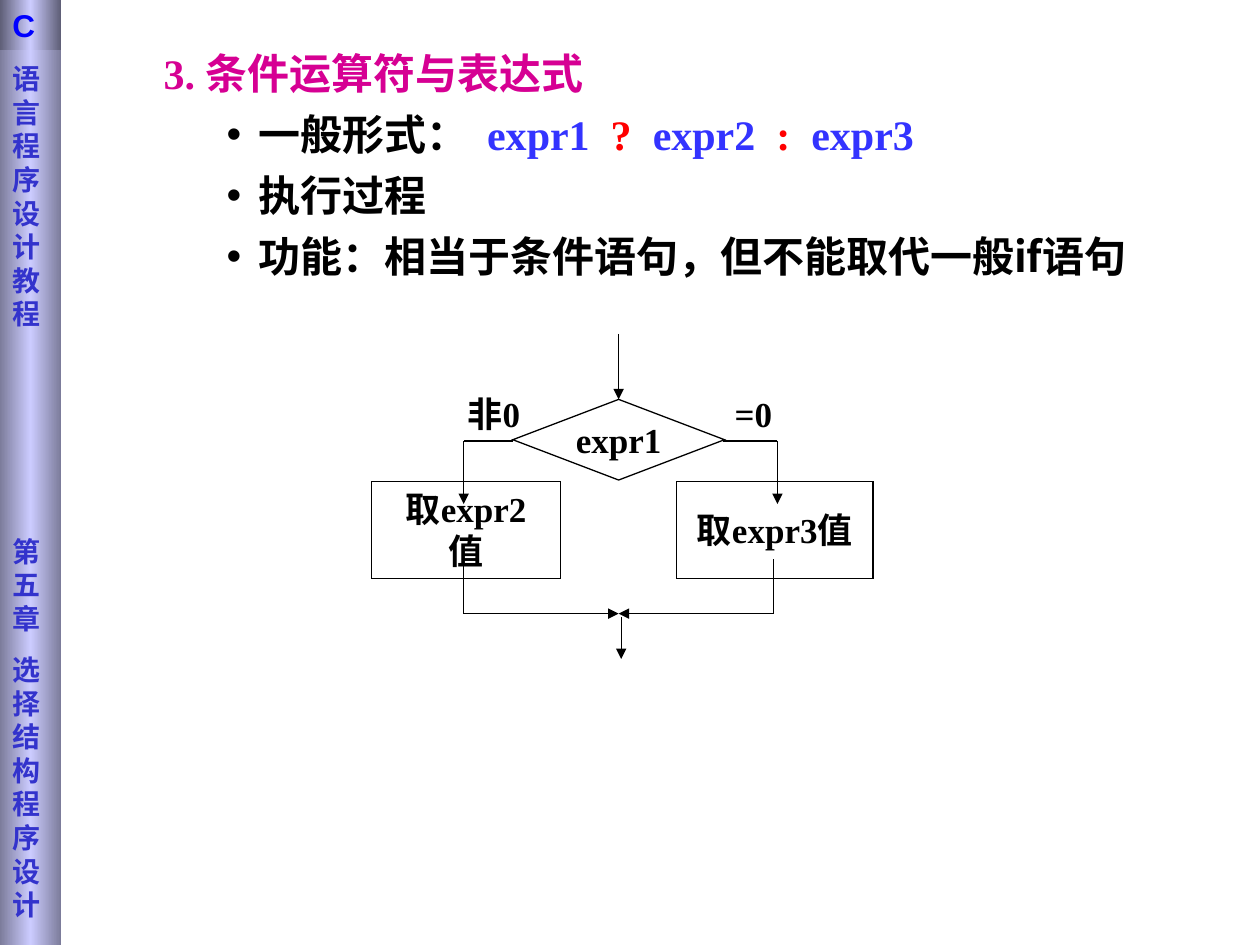
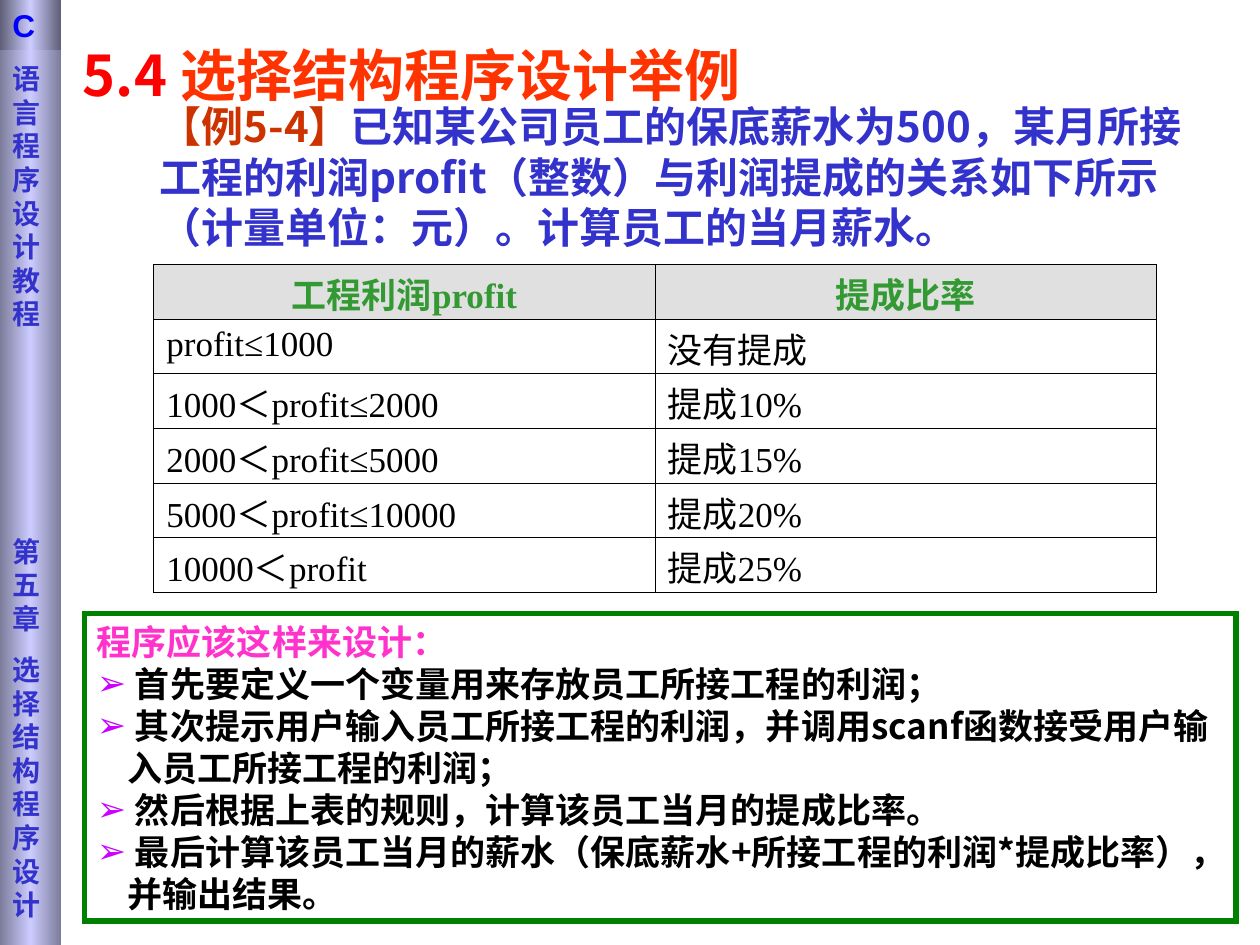
"""Build two course slides on the conditional operator and a selection example."""
from copy import deepcopy

from lxml.etree import SubElement
from pptx import Presentation
from pptx.dml.color import RGBColor
from pptx.enum.shapes import MSO_CONNECTOR, MSO_SHAPE
from pptx.enum.text import MSO_ANCHOR, PP_ALIGN
from pptx.oxml.ns import qn
from pptx.util import Inches, Pt

COLS, ROWS = 100, 75
CJK, SERIF = "Noto Sans CJK SC", "Times New Roman"
COLORS = {
    "black": "000000", "magenta": "D60093", "blue": "3333FF", "red": "FF0000",
    "navy": "3333CC", "letter": "0000FF", "orange": "FF3300", "rust": "CC3300",
    "head": "339933", "head_fill": "E0E0E0", "frame": "008000", "pink": "FF33CC",
    "arrow_bullet": "CC00FF", "edge": "7C7C9B", "cap_edge": "5E5E76", "mid": "CCCCFF",
}
FORMATS = {
    "side": {"size": 16, "name": "DejaVu Sans", "bold": True, "color": "navy"},
    "letter": {"size": 18, "name": "Arial", "bold": True, "color": "letter"},
    "serif": {"size": 24, "name": SERIF, "bold": True, "color": "blue"},
    "body": {"size": 24, "name": CJK, "bold": True, "color": "black"},
    "flow": {"size": 20, "name": SERIF, "bold": True, "color": "black"},
    "title": {"size": 32, "name": CJK, "bold": True, "color": "red"},
    "plan": {"size": 20, "name": CJK, "bold": True, "color": "black"},
    "cell": {"size": 20, "name": SERIF, "bold": False, "color": "black"},
    "header": {"size": 20, "name": SERIF, "bold": True, "color": "head"},
}
BODY_BULLET = {"level": 1, "before": 6, "indent": (12.5, -2.5), "bullet": ("•", "black")}
PLAN_BULLET = {"indent": (2.4, -2.4), "bullet": ("➢", "arrow_bullet")}


def grid(n):
    """Turn grid columns or rows into a length."""
    return Inches(n / 10)


def rgb(name):
    """Look up a named colour."""
    return RGBColor.from_string(COLORS[name])


def add_run(p, text, style, color=None):
    """Add one formatted run."""
    r = p.add_run()
    r.text = text
    values = dict(FORMATS[style])
    r.font.color.rgb = rgb(color or values["color"])
    del values["color"]
    values["size"] = Pt(values["size"])
    for key, value in values.items():
        setattr(r.font, key, value)
    ea = SubElement(r._r.get_or_add_rPr(), qn("a:ea"))
    ea.set("typeface", CJK)
    r._r.rPr.find(qn("a:latin")).addnext(ea)


def add_bullet(p, char, color):
    """Give a paragraph a coloured bullet."""
    pPr = p._p.get_or_add_pPr()
    clr = SubElement(SubElement(pPr, qn("a:buClr")), qn("a:srgbClr"))
    clr.set("val", COLORS[color])
    SubElement(pPr, qn("a:buFont")).set("typeface", "Arial")
    SubElement(pPr, qn("a:buChar")).set("char", char)


def fill_paragraph(p, runs, align=PP_ALIGN.LEFT, level=0, before=0, indent=(0, 0), bullet=None):
    """Write runs and paragraph layout."""
    if bullet:
        add_bullet(p, *bullet)
    size = FORMATS[runs[0][1]]["size"]
    layout = {"alignment": align, "level": level, "space_before": Pt(before),
              "line_spacing": Pt(size * 1.2)}
    for key, value in layout.items():
        setattr(p, key, value)
    for key, value in zip(("marL", "indent"), indent):
        p._p.pPr.set(key, str(grid(value)))
    for run in runs:
        add_run(p, *run)


def fill_frame(sp, paragraphs, anchor=MSO_ANCHOR.TOP, wrap=True, top=0.5, side=1):
    """Write (runs, layout) paragraphs into a shape."""
    tf = sp.text_frame
    values = {"word_wrap": wrap, "vertical_anchor": anchor, "margin_top": grid(top),
              "margin_bottom": grid(0.5), "margin_left": grid(side), "margin_right": grid(side)}
    for key, value in values.items():
        setattr(tf, key, value)
    for i, (runs, layout) in enumerate(paragraphs):
        fill_paragraph(tf.paragraphs[0] if i == 0 else tf.add_paragraph(), runs, **layout)


def add_text(s, box, paragraphs, **frame):
    """Add a text box."""
    sp = s.shapes.add_textbox(*map(grid, box))
    fill_frame(sp, paragraphs, **frame)


def add_box(s, kind, box, paragraphs, line="black", width=0.75, **frame):
    """Add a sharp-cornered outlined shape with text."""
    sp = s.shapes.add_shape(kind, *map(grid, box))
    sp.shadow.inherit = False
    sp.fill.background()
    sp.line.color.rgb = rgb(line)
    sp.line.width = Pt(width)
    SubElement(sp.line._get_or_add_ln(), qn("a:miter")).set("lim", "800000")
    fill_frame(sp, paragraphs, anchor=MSO_ANCHOR.MIDDLE, **frame)


def add_line(s, start, end, arrow):
    """Add a straight flow line, optionally with an arrowhead."""
    c = s.shapes.add_connector(MSO_CONNECTOR.STRAIGHT, *map(grid, start + end))
    c.line.color.rgb = rgb("black")
    c.line.width = Pt(0.75)
    if arrow:
        SubElement(c.line._get_or_add_ln(), qn("a:tailEnd")).set("type", "triangle")
    SubElement(c._element.spPr, qn("a:effectLst"))


def add_band(s, height, edge, paragraphs, top):
    """Add a gradient band at the left edge."""
    sp = s.shapes.add_shape(MSO_SHAPE.RECTANGLE, 0, 0, grid(4.85), grid(height))
    sp.shadow.inherit = False
    sp.line.fill.background()
    sp.fill.gradient()
    sp.fill.gradient_angle = 0
    stops = sp._element.spPr.find(".//" + qn("a:gsLst"))
    stops.append(deepcopy(stops[-1]))
    for i, (stop, color) in enumerate(zip(sp.fill.gradient_stops, (edge, "mid", edge))):
        stop.position = i / 2
        stop.color.rgb = rgb(color)
    fill_frame(sp, paragraphs, top=top)


def add_sidebar(s):
    """Add the course and chapter bands shared by the slides."""
    labels = (("语言程序设计教程", 0), ("第五章", 116.5), ("选择结构程序设计", 10))
    add_band(s, ROWS, "edge", [([(text, "side")], {"before": gap}) for text, gap in labels], 4.9)
    add_band(s, 4, "cap_edge", [([("C", "letter")], {})], 0.5)


def add_flowchart(s):
    """Draw the evaluation of the conditional expression."""
    center = {"align": PP_ALIGN.CENTER}
    left, mid, right = 36.8, 49.1, 61.7
    add_box(s, MSO_SHAPE.FLOWCHART_DECISION, (40.7, 31.7, 16.8, 6.4),
            [([("expr1", "flow")], center)], wrap=False)
    for x, width, name in ((29.5, 15, "expr2"), (53.7, 15.6, "expr3")):
        add_box(s, MSO_SHAPE.RECTANGLE, (x, 38.2, width, 7.7),
                [([(f"取{name}值", "flow")], center)], side=1.5)
    for middle, text in ((39.2, "非0"), (59.8, "=0")):
        add_text(s, (middle - 5, 30.6, 10, 4.4), [([(text, "flow")], center)],
                 anchor=MSO_ANCHOR.MIDDLE, wrap=False)
    add_line(s, (mid, 26.5), (mid, 31.7), True)
    for corner, x, out in ((40.7, left, left), (57.4, right, 61.4)):
        add_line(s, (corner, 35), (x, 35), False)
        add_line(s, (x, 35), (x, 40), True)
        add_line(s, (out, 44.4), (out, 48.7), False)
        add_line(s, (out, 48.7), (mid, 48.7), True)
    add_line(s, (49.3, 49), (49.3, 52.3), True)


def add_border(cell):
    """Draw thin lines round a table cell."""
    tcPr = cell._tc.get_or_add_tcPr()
    for side in "LRTB":
        ln = SubElement(tcPr, qn(f"a:ln{side}"))
        ln.set("w", str(Pt(0.45)))
        SubElement(SubElement(ln, qn("a:solidFill")), qn("a:srgbClr")).set("val", COLORS["black"])


def add_rate_table(s, rows):
    """Add the commission table with a shaded header."""
    shape = s.shapes.add_table(len(rows), 2, *map(grid, (12.2, 21, 79.6, 26)))
    table = shape.table
    table.first_row = table.horz_banding = False
    for i, row in enumerate(rows):
        table.rows[i].height = grid(26 / len(rows))
        for cell, text in zip(table.rows[i].cells, row):
            add_border(cell)
            has_cjk = max(text) > "⿿"
            cell.margin_top, cell.margin_bottom = grid(0.98 if has_cjk else 0.2), 0
            if i == 0:
                cell.fill.solid()
                cell.fill.fore_color.rgb = rgb("head_fill")
            else:
                cell.fill.background()
            fill_paragraph(cell.text_frame.paragraphs[0],
                           [(text, "cell" if i else "header")],
                           align=PP_ALIGN.LEFT if i else PP_ALIGN.CENTER)


def build_operator_slide(s):
    """Fill the slide on the conditional operator."""
    form = [("一般形式： ", "body"), (" expr1 ", "serif"), (" ? ", "serif", "red"),
            (" expr2 ", "serif"), (" : ", "serif", "red"), (" expr3", "serif")]
    add_text(s, (7, 3.3, 93, 21.6), [
        ([("3. 条件运算符与表达式", "serif", "magenta")], {"indent": (8.1, -3.1)}),
        (form, BODY_BULLET),
        ([("执行过程", "body")], BODY_BULLET),
        ([("功能：相当于条件语句，但不能取代一般if语句", "body")], BODY_BULLET),
    ])
    add_flowchart(s)


def build_example_slide(s):
    """Fill the slide on the salary example."""
    add_text(s, (5.6, 2.7, 90.9, 7.1), [
        ([("5.4 ", "title"), ("选择结构程序设计举例", "title", "orange")],
         {"indent": (3.8, -3.8)})])
    task = ("已知某公司员工的保底薪水为500，某月所接工程的利润profit（整数）与利润提成的"
            "关系如下所示（计量单位：元）。计算员工的当月薪水。")
    add_text(s, (6.7, 7.5, 89.8, 13),
             [([("【例5-4】", "body", "rust"), (task, "body", "navy")], {"indent": (5, 0)})],
             anchor=MSO_ANCHOR.MIDDLE)
    add_rate_table(s, (
        ("工程利润profit", "提成比率"),
        ("profit≤1000", "没有提成"),
        ("1000＜profit≤2000", "提成10%"),
        ("2000＜profit≤5000", "提成15%"),
        ("5000＜profit≤10000", "提成20%"),
        ("10000＜profit", "提成25%"),
    ))
    steps = (
        "首先要定义一个变量用来存放员工所接工程的利润；",
        "其次提示用户输入员工所接工程的利润，并调用scanf函数接受用户输入员工所接工程的利润；",
        "然后根据上表的规则，计算该员工当月的提成比率。",
        "最后计算该员工当月的薪水（保底薪水+所接工程的利润*提成比率），并输出结果。",
    )
    plan = [([("程序应该这样来设计：", "plan", "pink")], {})]
    plan += [([(f" {step}", "plan")], PLAN_BULLET) for step in steps]
    add_box(s, MSO_SHAPE.RECTANGLE, (6.7, 48.7, 91.4, 24.4), plan, line="frame", width=3)


def main():
    """Build and save the presentation."""
    prs = Presentation()
    prs.slide_width, prs.slide_height = grid(COLS), grid(ROWS)
    for build in (build_operator_slide, build_example_slide):
        s = prs.slides.add_slide(prs.slide_layouts[6])
        add_sidebar(s)
        build(s)
    prs.save("out.pptx")


if __name__ == "__main__":
    main()
